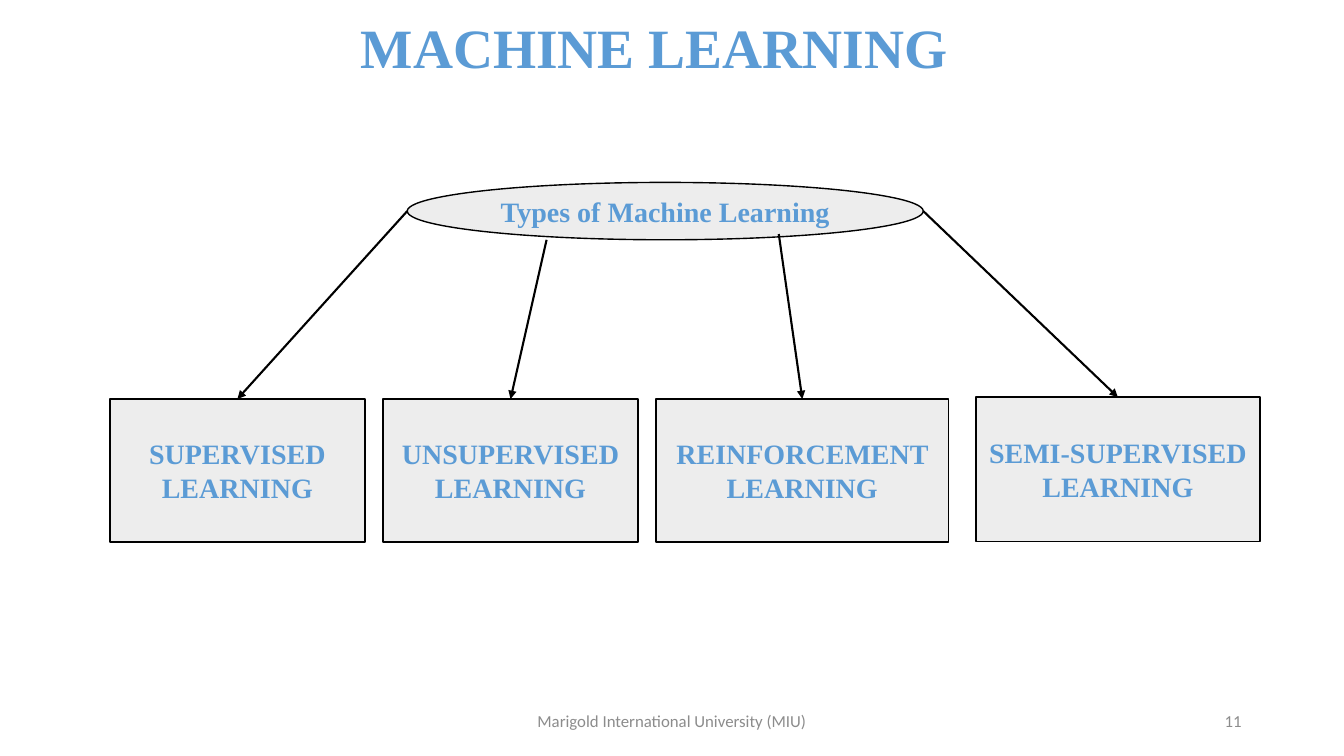
from lxml.etree import SubElement
from pptx import Presentation
from pptx.dml.color import RGBColor
from pptx.enum.shapes import MSO_CONNECTOR, MSO_SHAPE
from pptx.enum.text import MSO_ANCHOR, PP_ALIGN
from pptx.oxml.ns import qn
from pptx.util import Pt

SERIF, SANS = "Times New Roman", "Calibri"
BLUE, GRAY, PALE, BLACK = "5B9BD5", "8C8C8C", "EDEDED", "000000"

# Learning types: name, box (left, top, width, height), arrow start on the
# oval as fractions of its width and height
LEARNING_TYPES = [
    ("SUPERVISED LEARNING", (78.5, 285, 182.2, 102.2), (0, 0.5)),
    ("UNSUPERVISED LEARNING", (273.6, 285, 182.2, 102.2), (0.27, 1)),
    ("REINFORCEMENT LEARNING", (468.7, 285, 208.8, 102.2), (0.72, 0.9)),
    ("SEMI-SUPERVISED LEARNING", (697, 283.7, 203, 103), (1, 0.5)),
]


def color(value):
    return RGBColor.from_string(value)


def write(shape, text, size, font, ink, align, bold=False):
    frame = shape.text_frame
    frame.word_wrap = True
    frame.vertical_anchor = MSO_ANCHOR.MIDDLE
    frame.text = text
    para = frame.paragraphs[0]
    para.alignment = align
    span = para.runs[0]
    span.font.size = Pt(size)
    span.font.name = font
    span.font.bold = bold
    span.font.color.rgb = color(ink)
    return para


def add_label(page, box, *style, **options):
    label = page.shapes.add_textbox(*map(Pt, box))
    return write(label, *style, **options)


def add_node(page, kind, box, text):
    node = page.shapes.add_shape(kind, *map(Pt, box))
    node.shadow.inherit = False
    node.fill.solid()
    node.fill.fore_color.rgb = color(PALE)
    node.line.color.rgb = color(BLACK)
    node.line.width = Pt(1)
    write(node, text, 20, SERIF, BLUE, PP_ALIGN.CENTER, bold=True)
    return node


def add_arrow(page, start_x, start_y, target):
    """Draw an arrow to the middle of the target's top side."""
    arrow = page.shapes.add_connector(
        MSO_CONNECTOR.STRAIGHT, Pt(start_x), Pt(start_y), target.left, target.top)
    arrow.end_connect(target, 0)
    arrow.line.color.rgb = color(BLACK)
    arrow.line.width = Pt(1.5)
    SubElement(arrow.line._get_or_add_ln(), qn("a:tailEnd"), type="triangle")
    SubElement(arrow._element.spPr, qn("a:effectLst"))


def add_title(page, box):
    para = add_label(page, box, "MACHINE LEARNING", 39.6, SERIF, BLUE,
                     PP_ALIGN.LEFT, bold=True)
    para.line_spacing = 0.9


def add_tree(page, box):
    left, top, width, height = box
    add_node(page, MSO_SHAPE.OVAL, box, "Types of Machine Learning")
    targets = [add_node(page, MSO_SHAPE.RECTANGLE, type_box, name)
               for name, type_box, _ in LEARNING_TYPES]
    for target, (_, _, (across, down)) in zip(targets, LEARNING_TYPES):
        add_arrow(page, left + across * width, top + down * height, target)


def add_footer(page, box):
    left, top, width, height = box
    add_label(page, (left, top, 324, height),
              "Marigold International University (MIU)", 12, SANS, GRAY,
              PP_ALIGN.CENTER)
    add_label(page, (left + width - 216, top, 216, height), "11", 12, SANS,
              GRAY, PP_ALIGN.RIGHT)


def main():
    deck = Presentation()
    deck.slide_width, deck.slide_height = Pt(960), Pt(540)
    page = deck.slides.add_slide(deck.slide_layouts[6])
    add_title(page, (250.6, 9.4, 458.6, 53.3))
    add_footer(page, (318, 500.5, 576, 28.8))
    add_tree(page, (290.9, 130.3, 368.6, 41))
    deck.save("out.pptx")


if __name__ == "__main__":
    main()
